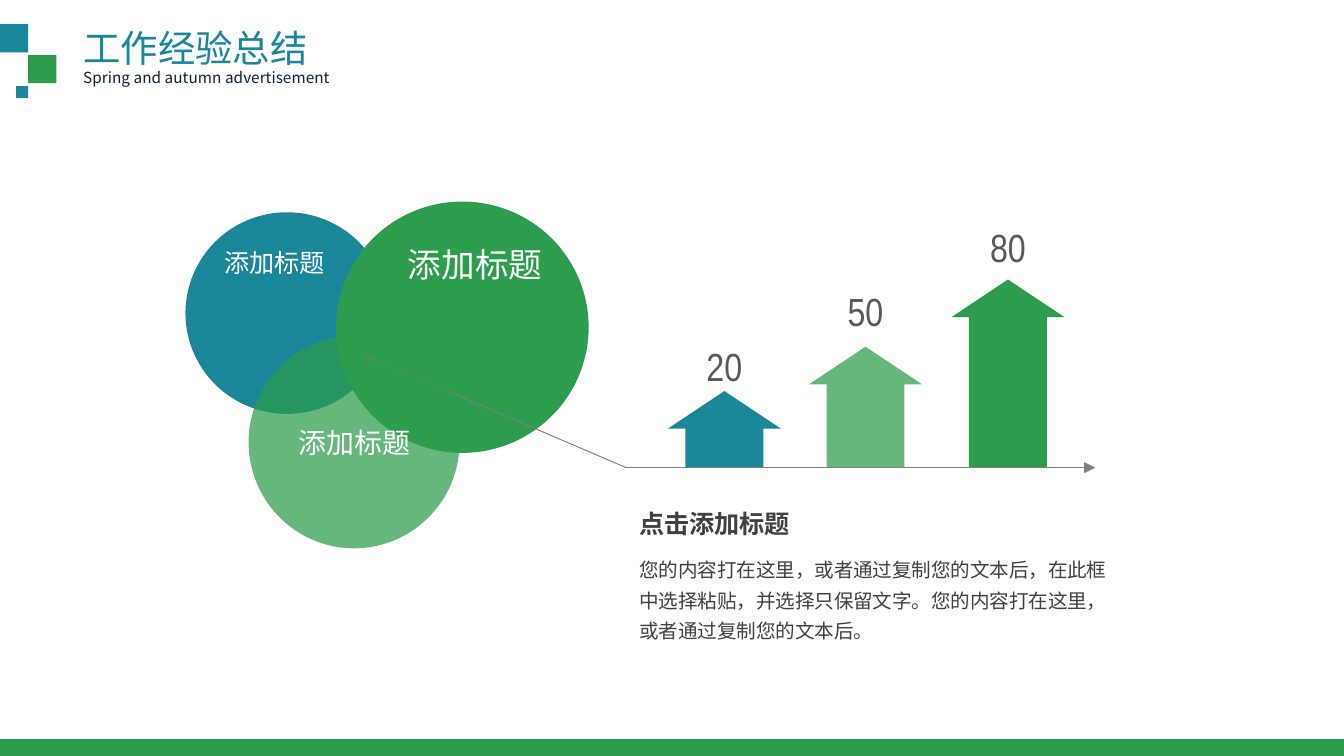
from lxml import etree
from pptx import Presentation
from pptx.dml.color import RGBColor
from pptx.enum.shapes import MSO_CONNECTOR, MSO_SHAPE
from pptx.enum.text import MSO_ANCHOR, PP_ALIGN
from pptx.oxml.ns import qn
from pptx.util import Inches, Pt

RECT, OVAL = MSO_SHAPE.RECTANGLE, MSO_SHAPE.OVAL
STRAIGHT = MSO_CONNECTOR.STRAIGHT
TOP, MIDDLE = MSO_ANCHOR.TOP, MSO_ANCHOR.MIDDLE
LEFT, CENTER, RIGHT = PP_ALIGN.LEFT, PP_ALIGN.CENTER, PP_ALIGN.RIGHT

W = 10
H = W * 9 / 16
SANS, NARROW, DISPLAY = "Noto Sans CJK SC", "Arial Narrow", "League Spartan"
COLORS = {"teal": "198699", "green": "2C9C4D", "navy": "0F1F39", "white": "FFFFFF",
          "number": "595959", "text": "404040", "line": "808080"}
LIGHT = 72  # opacity of the light green parts, percent
AXIS_Y = 3.48
AXIS_START, AXIS_END = 4.66, 8.15


def rgb(name):
    return RGBColor.from_string(COLORS[name])


def paint(s, color, opacity=100):
    s.shadow.inherit = False
    s.fill.solid()
    s.fill.fore_color.rgb = rgb(color)
    s.line.fill.background()
    if opacity < 100:
        clr = s._element.spPr.find(".//" + qn("a:srgbClr"))
        etree.SubElement(clr, qn("a:alpha"), val=str(opacity * 1000))


def write(s, text, size, color, font=SANS, align=LEFT, anchor=TOP,
          spacing=1.0, bold=False, wrap=True):
    tf = s.text_frame
    tf.text = text
    tf.word_wrap = wrap
    tf.vertical_anchor = anchor
    p = tf.paragraphs[0]
    p.alignment = align
    p.line_spacing = spacing
    r = p.runs[0]
    r.font.size = Pt(size)
    r.font.name = font
    r.font.bold = bold
    r.font.color.rgb = rgb(color)
    latin = r._r.get_or_add_rPr().find(qn("a:latin"))
    latin.addnext(latin.makeelement(qn("a:ea"), {"typeface": font}))


def add_shape(slide, kind, box, color, opacity=100):
    s = slide.shapes.add_shape(kind, *map(Inches, box))
    paint(s, color, opacity)
    return s


def add_text(slide, box, text, size, color, **style):
    write(slide.shapes.add_textbox(*map(Inches, box)), text, size, color, **style)


def add_title(slide, box, text):
    s = slide.shapes.title
    s.left, s.top, s.width, s.height = map(Inches, box)
    write(s, text, 20, "teal", wrap=False)


def add_circle(slide, box, text, size, color, opacity=100, **style):
    s = add_shape(slide, OVAL, box, color, opacity)
    tf = s.text_frame
    tf.margin_left = tf.margin_right = Inches(0.07)
    tf.margin_top = tf.margin_bottom = Inches(0.04)
    write(s, text, size, "white", **style)


def add_up_arrow(slide, x, top, color, opacity=100):
    """Arrow standing on the axis, centred on x."""
    head, stem, neck = 0.42, 0.29, top + 0.28
    right = [(head, neck), (stem, neck), (stem, AXIS_Y)]
    outline = right + [(-dx, y) for dx, y in reversed(right)]
    fb = slide.shapes.build_freeform(Inches(x), Inches(top))
    fb.add_line_segments([(Inches(x + dx), Inches(y)) for dx, y in outline])
    paint(fb.convert_to_shape(), color, opacity)


def add_line(slide, start, end, arrow_end):
    c = slide.shapes.add_connector(STRAIGHT, *map(Inches, start + end))
    c.line.color.rgb = rgb("line")
    c.line.width = Pt(0.5)
    ln = c._element.spPr.find(qn("a:ln"))
    etree.SubElement(ln, qn("a:" + arrow_end), type="triangle")
    etree.SubElement(c._element.spPr, qn("a:effectLst"))


def main():
    prs = Presentation()
    prs.slide_width, prs.slide_height = Inches(W), Inches(H)
    slide = prs.slides.add_slide(prs.slide_layouts[5])

    # Heading
    add_title(slide, (0.52, 0.14, 1.87, 0.44), "工作经验总结")
    add_text(slide, (0.52, 0.42, 2.35, 0.28), "Spring and autumn advertisement",
             8.25, "navy", spacing=1.3)

    # Corner squares and bottom band
    for x, y, side, color in [(0, 0.18, 0.21, "teal"), (0.21, 0.41, 0.21, "green"),
                              (0.12, 0.64, 0.09, "teal")]:
        add_shape(slide, RECT, (x, y, side, side), color)
    add_shape(slide, RECT, (0, 5.5, W, H - 5.5), "green")

    # Back circles
    add_circle(slide, (1.38, 1.58, 1.51, 1.5), "添加标题", 13.5, "teal")
    add_circle(slide, (2.5, 1.5, 1.88, 1.87), "添加标题", 18, "green", align=RIGHT)

    # Arrows with their values
    for x, top, label_top, value, color, opacity in [
            (5.39, 2.91, 2.5, "20", "teal", 100),
            (6.44, 2.58, 2.09, "50", "green", LIGHT),
            (7.5, 2.08, 1.61, "80", "green", 100)]:
        add_up_arrow(slide, x, top, color, opacity)
        add_text(slide, (x - 0.25, label_top, 0.5, 0.45), value, 21, "number",
                 font=NARROW, align=CENTER, anchor=MIDDLE, wrap=False)

    # Pointer and axis
    add_line(slide, (2.7, 2.64), (AXIS_START, AXIS_Y), "headEnd")
    add_line(slide, (AXIS_START, AXIS_Y), (AXIS_END, AXIS_Y), "tailEnd")

    # Description
    add_text(slide, (AXIS_START, 3.78, 2.28, 0.28), "点击添加标题", 13.5, "text",
             font=DISPLAY, spacing=0.8, bold=True)
    add_text(slide, (AXIS_START, 4.05, 3.77, 0.79),
             "您的内容打在这里，或者通过复制您的文本后，在此框中选择粘贴，"
             "并选择只保留文字。您的内容打在这里，或者通过复制您的文本后。",
             10.5, "text", spacing=1.3)

    # Front circle
    add_circle(slide, (1.85, 2.5, 1.57, 1.58), "添加标题", 15, "green", LIGHT,
               align=CENTER, anchor=MIDDLE)

    prs.save("out.pptx")


if __name__ == "__main__":
    main()
